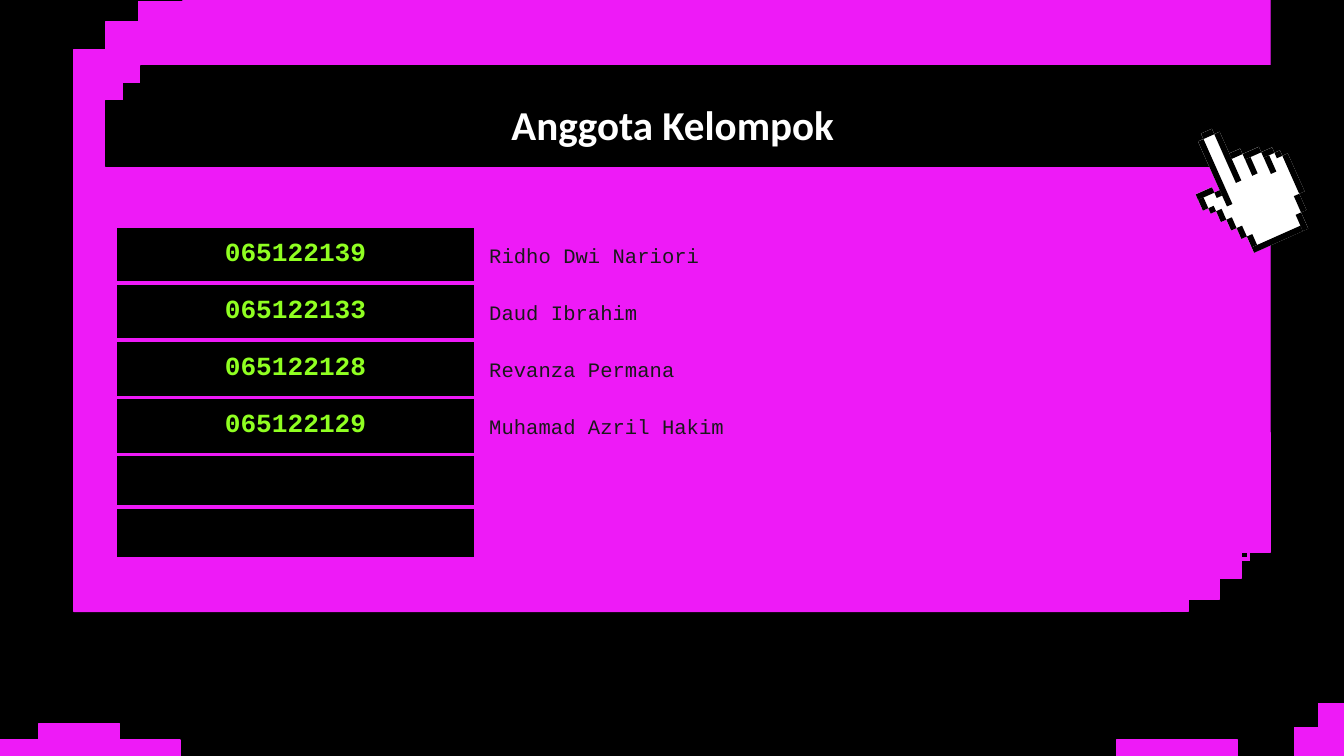
from math import cos, radians, sin

from lxml.etree import SubElement
from pptx import Presentation
from pptx.dml.color import RGBColor
from pptx.enum.shapes import MSO_SHAPE
from pptx.enum.text import MSO_ANCHOR, MSO_AUTO_SIZE, PP_ALIGN
from pptx.oxml import parse_xml
from pptx.oxml.ns import nsdecls, qn
from pptx.util import Inches, Pt

BLACK = RGBColor(0x00, 0x00, 0x00)
WHITE = RGBColor(0xFF, 0xFF, 0xFF)
PINK = RGBColor(0xEE, 0x1A, 0xF7)
GREEN = RGBColor(0x90, 0xFF, 0x21)
INK = RGBColor(0x19, 0x19, 0x19)

WIDTH = 10
HEIGHT = WIDTH * 9 / 16
STEP = 0.24
STEP_HEIGHT = 0.89
BODY_FONT = "Courier New"

MEMBERS = [
    ("065122139", "Ridho Dwi Nariori"),
    ("065122133", "Daud Ibrahim"),
    ("065122128", "Revanza Permana"),
    ("065122129", "Muhamad Azril Hakim"),
    ("", ""),
    ("", ""),
]

HAND_COLS, HAND_ROWS = 17, 22
HAND_OUTLINE = [
    (5, 0), (5, 1), (4, 1), (4, 10), (3, 10), (3, 9), (0, 9), (0, 12),
    (1, 12), (1, 13), (2, 13), (2, 15), (3, 15), (3, 17), (4, 17), (4, 19),
    (5, 19), (5, 22), (15, 22), (15, 19), (16, 19), (16, 16), (17, 16),
    (17, 9), (16, 9), (16, 8), (15, 8), (15, 7), (13, 7), (13, 6), (10, 6),
    (10, 5), (8, 5), (8, 1), (7, 1), (7, 0),
]
HAND_EDGES = [
    (4, 1, 1, 12), (5, 0, 2, 1), (7, 1, 1, 9), (8, 5, 2, 1), (10, 7, 1, 3),
    (10, 6, 3, 1), (13, 8, 1, 3), (13, 7, 2, 1), (15, 8, 1, 1),
    (16, 9, 1, 7), (15, 16, 1, 3), (14, 19, 1, 3), (5, 21, 9, 1),
    (3, 10, 1, 1), (0, 9, 3, 1), (0, 10, 1, 2), (1, 12, 1, 1),
] + [(2 + i, 13 + 2 * i, 1, 2) for i in range(4)]


def add_block(s, x, y, w, h, color, kind=MSO_SHAPE.RECTANGLE):
    sp = s.shapes.add_shape(kind, Inches(x), Inches(y), Inches(w), Inches(h))
    sp.shadow.inherit = False
    sp.fill.solid()
    sp.fill.fore_color.rgb = color
    sp.line.color.rgb = color
    sp.line.width = Pt(0.75)
    return sp


def write(tf, text, *, size, color, font=BODY_FONT, bold=False,
          align=PP_ALIGN.LEFT, after=0):
    p = tf.paragraphs[0]
    p.alignment = align
    p.space_after = Pt(after)
    if not text:
        SubElement(p._p, qn("a:endParaRPr"), sz=str(size * 100))
        return
    r = p.add_run()
    r.text = text
    r.font.name = font
    r.font.size = Pt(size)
    r.font.bold = bold
    r.font.color.rgb = color


def set_margins(box, top=0.1):
    box.margin_left = box.margin_right = box.margin_bottom = Inches(0.1)
    box.margin_top = Inches(top)


def add_panel(s, x, y, w, h):
    sp = add_block(s, x, y, w, h, PINK, MSO_SHAPE.SNIP_2_DIAG_RECTANGLE)
    sp.adjustments[0] = 0.18
    sp.adjustments[1] = 0
    for col, (top, width) in enumerate([(0.37, STEP), (0.16, STEP), (0.01, 2 * STEP)]):
        add_block(s, x + col * STEP, y + top, width, STEP_HEIGHT, PINK)
    for right, bottom in [(0.61, 0), (0.38, 0.09), (0.21, 0.25), (0, 0.44)]:
        add_block(s, x + w - right - STEP, y + h - bottom - STEP_HEIGHT,
                  STEP, STEP_HEIGHT, PINK)


def add_corners(s, w, h):
    for x, rise, width in [(0.29, 0.24, 0.6), (0, 0.12, 1.34), (8.31, 0.12, 0.9),
                           (w - 0.37, 0.21, 0.18), (w - 0.19, 0.39, 0.19)]:
        add_block(s, x, h - rise, width, rise, PINK)


def add_header(s, x, y, w, h):
    notch = 0.13
    for i in range(3):
        left = (2 - i) * notch
        width = notch if i else w - left
        add_block(s, x + left, y + i * notch, width, h - i * notch, BLACK)


def add_title(s, text, x, y, w, h):
    sp = s.shapes.title
    sp.left, sp.top, sp.width, sp.height = map(Inches, (x, y, w, h))
    s.shapes._spTree.append(sp._element)
    tf = sp.text_frame
    tf.word_wrap = True
    tf.auto_size = MSO_AUTO_SIZE.NONE
    tf.vertical_anchor = MSO_ANCHOR.BOTTOM
    set_margins(tf)
    write(tf, text, size=22, color=WHITE, font="Calibri", bold=True,
          align=PP_ALIGN.CENTER)


def set_borders(cell):
    tcPr = cell._tc.get_or_add_tcPr()
    for side in "LRTB":
        tcPr.append(parse_xml(
            f'<a:ln{side} {nsdecls("a")} w="{Pt(2.25)}"><a:solidFill>'
            f'<a:srgbClr val="{PINK}"/></a:solidFill></a:ln{side}>'))


def add_members(s, x, y, w, h):
    frame = s.shapes.add_table(len(MEMBERS), 2, Inches(x), Inches(y),
                               Inches(w), Inches(h))
    table = frame.table
    table.first_row = table.horz_banding = False
    table.columns[0].width = Inches(2.68)
    table.columns[1].width = Inches(w - 2.68)
    for i, (number, name) in enumerate(MEMBERS):
        table.rows[i].height = Inches(0.42 if number else 0.38)
        left, right = table.cell(i, 0), table.cell(i, 1)
        for cell in (left, right):
            set_borders(cell)
        set_margins(left)
        set_margins(right, top=0.15 if name else 0.1)
        left.fill.solid()
        left.fill.fore_color.rgb = BLACK
        right.fill.background()
        left.vertical_anchor = MSO_ANCHOR.MIDDLE
        write(left.text_frame, number, size=14 if number else 11, color=GREEN,
              bold=True, align=PP_ALIGN.CENTER)
        write(right.text_frame, name, size=11, color=INK, after=16)


def add_hand(s, x, y, w, h, angle):
    c, d = cos(radians(angle)), sin(radians(angle))

    def turn(col, row):
        dx = (col / HAND_COLS - 0.5) * w
        dy = (row / HAND_ROWS - 0.5) * h
        return (Inches(x + w / 2 + dx * c - dy * d),
                Inches(y + h / 2 + dx * d + dy * c))

    def add_outline(corners, color):
        points = [turn(*corner) for corner in corners]
        builder = s.shapes.build_freeform(*points[0])
        builder.add_line_segments(points[1:], close=True)
        sp = builder.convert_to_shape()
        sp.shadow.inherit = False
        sp.fill.solid()
        sp.fill.fore_color.rgb = color
        sp.line.fill.background()

    add_outline(HAND_OUTLINE, WHITE)
    for col, row, cols, rows in HAND_EDGES:
        add_outline([(col, row), (col + cols, row),
                     (col + cols, row + rows), (col, row + rows)], BLACK)


def main():
    prs = Presentation()
    prs.slide_width, prs.slide_height = Inches(WIDTH), Inches(HEIGHT)
    s = prs.slides.add_slide(prs.slide_layouts[5])
    s.background.fill.solid()
    s.background.fill.fore_color.rgb = BLACK
    add_panel(s, 0.55, 0, 8.9, 4.55)
    add_corners(s, WIDTH, HEIGHT)
    add_header(s, 0.79, 0.49, 8.69, 0.75)
    add_title(s, "Anggota Kelompok", 0.79, 0.59, 8.43, 0.62)
    add_members(s, 0.86, 1.68, 8.43, 2.44)
    add_hand(s, 8.9, 0.89, 0.75, 0.97, -24)
    prs.save("out.pptx")


if __name__ == "__main__":
    main()
